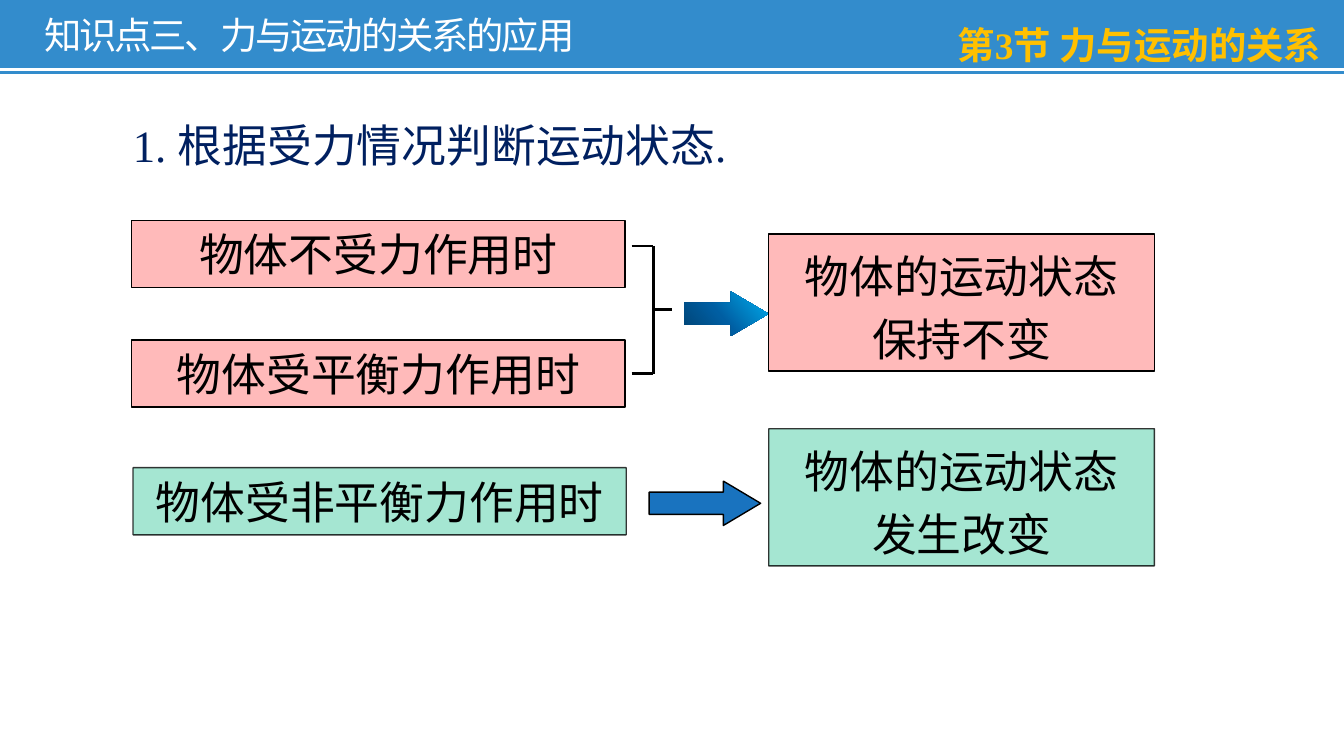
import lxml.etree
import pptx
import pptx.dml.color
import pptx.enum.shapes
import pptx.enum.text
import pptx.oxml
import pptx.oxml.ns
import pptx.util

Inches = pptx.util.Inches
Pt = pptx.util.Pt
SHAPES = pptx.enum.shapes.MSO_SHAPE
ALIGN = pptx.enum.text.PP_ALIGN
ANCHOR = pptx.enum.text.MSO_ANCHOR

SANS = "Noto Sans CJK SC"
SERIF = "Times New Roman"
PINK = {"fill": "FFBABA"}
GREEN = {"fill": "41CAA0", "fill_alpha": 47, "line_alpha": 79}


def color(hex_code):
    return pptx.dml.color.RGBColor.from_string(hex_code)


def set_alpha(fill, percent):
    node = fill._xPr.find(".//" + pptx.oxml.ns.qn("a:srgbClr"))
    alpha = lxml.etree.SubElement(node, pptx.oxml.ns.qn("a:alpha"))
    alpha.set("val", str(percent * 1000))


def write_text(shape, text, font=SANS, size=24, ink="000000", bold=False,
               align=ALIGN.LEFT, anchor=ANCHOR.TOP, leading=None, tracking=None):
    frame = shape.text_frame
    frame.word_wrap = True
    frame.vertical_anchor = anchor
    frame.margin_left = frame.margin_right = Inches(0.1)
    frame.margin_top = frame.margin_bottom = Inches(0.05)
    for index, line in enumerate(text.split("\n")):
        para = frame.paragraphs[0] if index == 0 else frame.add_paragraph()
        para.alignment = align
        if leading:
            para.line_spacing = Pt(leading)
        span = para.add_run()
        span.text = line
        span.font.name = font
        span.font.size = Pt(size)
        span.font.bold = bold
        span.font.color.rgb = color(ink)
        properties = span.font._element
        east_asian = lxml.etree.SubElement(properties, pptx.oxml.ns.qn("a:ea"))
        east_asian.set("typeface", SANS)
        if tracking:
            properties.set("spc", str(int(tracking * 100)))


def add_label(page, box, text, **style):
    label = page.shapes.add_textbox(*map(Inches, box))
    write_text(label, text, **style)


def add_block(page, kind, box, fill=None, fill_alpha=None, line="000000", line_alpha=None):
    block = page.shapes.add_shape(kind, *map(Inches, box))
    block.shadow.inherit = False
    if fill:
        block.fill.solid()
        block.fill.fore_color.rgb = color(fill)
        if fill_alpha:
            set_alpha(block.fill, fill_alpha)
    if line:
        block.line.color.rgb = color(line)
        block.line.width = Pt(0.75)
        if line_alpha:
            set_alpha(block.line.fill, line_alpha)
    else:
        block.line.fill.background()
    return block


def add_line(page, start, end, ink="000000"):
    line = page.shapes.add_connector(pptx.enum.shapes.MSO_CONNECTOR.STRAIGHT,
                                     *map(Inches, (*start, *end)))
    line.line.color.rgb = color(ink)
    line.line.width = Pt(1.5)
    lxml.etree.SubElement(line._element.spPr, pptx.oxml.ns.qn("a:effectLst"))


def add_header(page, left, top, width, height):
    add_block(page, SHAPES.RECTANGLE, (left, top, width, height),
              fill="0070C0", fill_alpha=80, line=None)
    rule = top + height - 0.03
    add_line(page, (left, rule), (left + width, rule), ink="FFFFFF")
    add_label(page, (left + 0.23, top + 0.04, 4.63, 0.44), "知识点三、力与运动的关系的应用",
              size=20, ink="FFFFFF", tracking=-1.2)
    add_label(page, (left + width - 3.44, top - 0.05, 3.37, 0.55), "第3节 力与运动的关系",
              font=SERIF, size=20, ink="FFC000", bold=True, align=ALIGN.RIGHT, leading=36)


def add_condition(page, left, top, text, look):
    block = add_block(page, SHAPES.RECTANGLE, (left, top, 3.67, 0.5), **look)
    write_text(block, text, align=ALIGN.CENTER, anchor=ANCHOR.MIDDLE)


def add_result(page, left, top, text, look):
    block = add_block(page, SHAPES.RECTANGLE, (left, top, 2.87, 1.02), **look)
    write_text(block, text, font=SERIF, align=ALIGN.CENTER, anchor=ANCHOR.MIDDLE, leading=34)


def add_bracket(page, left, top, width, height):
    """Bracket that opens to the left, with a stub on its right side."""
    spine, bottom = left + width, top + height
    stub = top + height / 2
    add_line(page, (spine, top), (spine, bottom))
    for y in (top, bottom):
        add_line(page, (left, y), (spine, y))
    add_line(page, (spine, stub), (spine + 0.14, stub))


def add_arrow(page, box, head, **look):
    arrow = add_block(page, SHAPES.RIGHT_ARROW, box, **look)
    arrow.adjustments[0] = 0.5
    arrow.adjustments[1] = head
    return arrow


def shade_arrow(arrow):
    """Three-stop blue gradient, dark at the tail and light at the tip."""
    arrow.fill.gradient()
    arrow.fill.gradient_angle = 40
    stops = arrow.fill._xPr.find(".//" + pptx.oxml.ns.qn("a:gsLst"))
    for stop in list(stops):
        stops.remove(stop)
    for position, hex_code in ((0, "004272"), (44, "005EA2"), (100, "00B0F0")):
        stop = lxml.etree.SubElement(stops, pptx.oxml.ns.qn("a:gs"), pos=str(position * 1000))
        lxml.etree.SubElement(stop, pptx.oxml.ns.qn("a:srgbClr"), val=hex_code)


def add_force_diagram(page, left, top):
    result_left = left + 4.74
    add_condition(page, left, top, "物体不受力作用时", PINK)
    add_condition(page, left, top + 0.89, "物体受平衡力作用时", PINK)
    add_bracket(page, left + 3.72, top + 0.19, 0.16, 0.95)
    shade_arrow(add_arrow(page, (result_left - 0.63, top + 0.53, 0.63, 0.33), 0.85, line=None))
    add_result(page, result_left, top + 0.1, "物体的运动状态\n保持不变", PINK)

    add_condition(page, left + 0.01, top + 1.84, "物体受非平衡力作用时", GREEN)
    add_arrow(page, (left + 3.85, top + 1.94, 0.83, 0.33), 0.84, fill="1973BF")
    add_result(page, result_left, top + 1.55, "物体的运动状态\n发生改变", GREEN)


def main():
    deck = pptx.Presentation()
    deck.slide_width = Inches(10)
    deck.slide_height = Inches(5.61)
    page = deck.slides.add_slide(deck.slide_layouts[6])
    add_header(page, 0, 0, 10, 0.55)
    add_label(page, (0.89, 0.83, 5.74, 0.5), "1. 根据受力情况判断运动状态.", font=SERIF, ink="002060")
    add_force_diagram(page, 0.98, 1.64)
    deck.save("out.pptx")


if __name__ == "__main__":
    main()
